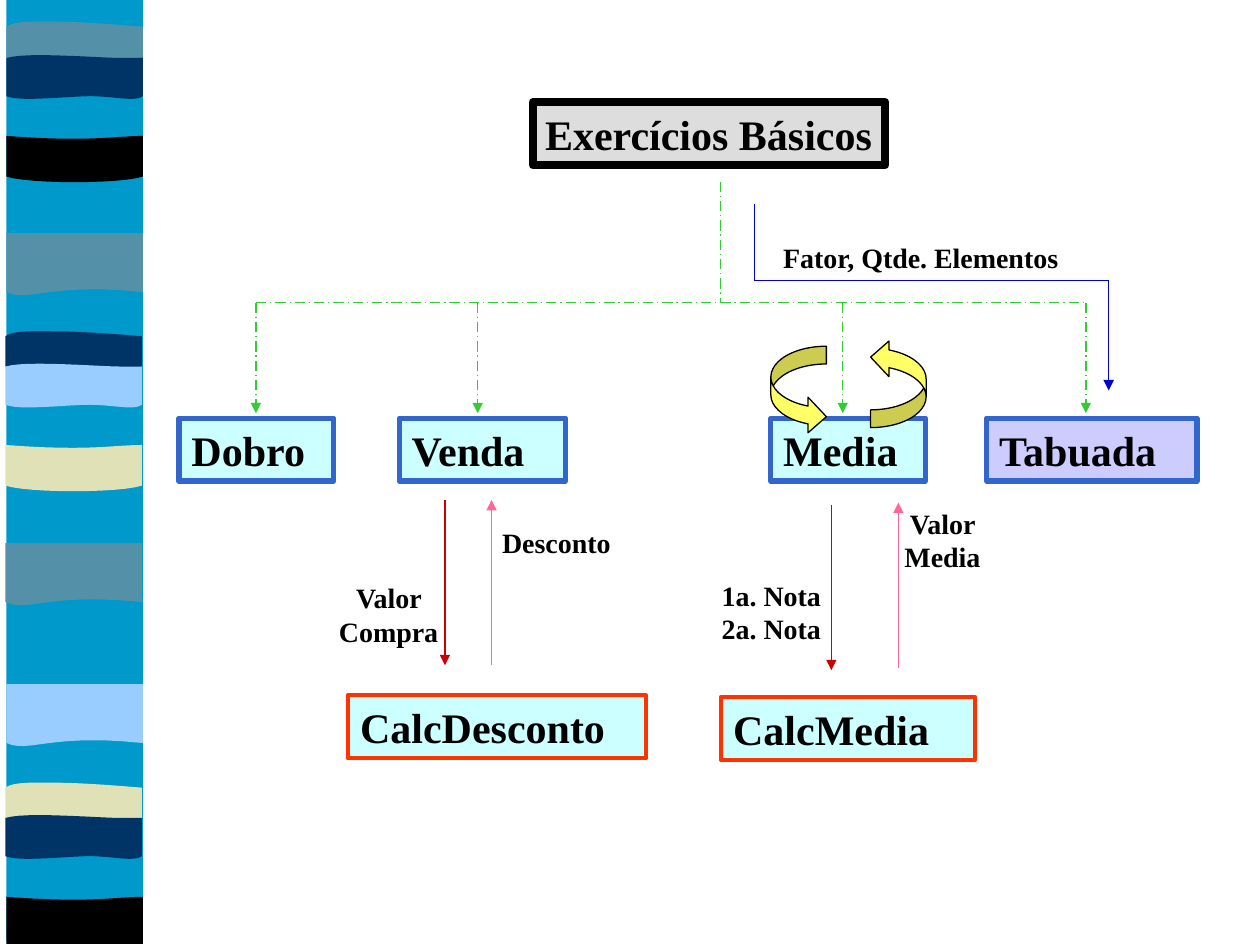
from pptx import Presentation
from pptx.dml.color import RGBColor
from pptx.enum.dml import MSO_LINE
from pptx.enum.shapes import MSO_CONNECTOR, MSO_SHAPE
from pptx.enum.text import MSO_ANCHOR, PP_ALIGN
from pptx.oxml.ns import qn
from pptx.util import Cm, Pt
from lxml import etree

RECT, CURVED_ARROW = MSO_SHAPE.RECTANGLE, MSO_SHAPE.CURVED_RIGHT_ARROW
STRAIGHT = MSO_CONNECTOR.STRAIGHT
LONG_DASH_DOT = MSO_LINE.LONG_DASH_DOT
LEFT, CENTER = PP_ALIGN.LEFT, PP_ALIGN.CENTER
TOP = MSO_ANCHOR.TOP

FONT = "Times New Roman"
BLACK = RGBColor(0x00, 0x00, 0x00)
WHITE = RGBColor(0xFF, 0xFF, 0xFF)
GREY = RGBColor(0xDD, 0xDD, 0xDD)
AQUA = RGBColor(0xCC, 0xFF, 0xFF)
LILAC = RGBColor(0xCC, 0xCC, 0xFF)
YELLOW = RGBColor(0xFF, 0xFF, 0x66)
BLUE = RGBColor(0x33, 0x66, 0xCC)
DEEP_BLUE = RGBColor(0x00, 0x00, 0xCC)
ORANGE = RGBColor(0xFF, 0x33, 0x00)
GREEN = RGBColor(0x33, 0xCC, 0x33)
PINK = RGBColor(0xFF, 0x66, 0x99)
RED = RGBColor(0xCC, 0x00, 0x00)
OCEAN = RGBColor(0x00, 0x99, 0xCC)
STEEL = RGBColor(0x54, 0x90, 0xA8)
NAVY = RGBColor(0x00, 0x33, 0x66)
SKY = RGBColor(0x99, 0xCC, 0xFF)
SAND = RGBColor(0xE1, 0xE1, 0xB7)

# Band outlines in cm: a 2-tuple is a corner, a 6-tuple is a cubic curve
BAND_W = 2.75
BOWL_TOP = [(0, 0), (1.7, 0.13, 2.18, 0, BAND_W, 0)]
BANDS = {
    "block": [(BAND_W, 0), (BAND_W, 1.19), (0.86, 0.99, 0.46, 1.4, 0, 1.19), (0, 0)],
    "crest": [(BAND_W, 0.13), (BAND_W, 0.74), (2.29, 0.84, 0.46, 0.84, 0, 0.74),
              (0, 0.13), (0.18, 0, 0.61, 0.03, 1.07, 0.03),
              (1.52, 0.03, 2.41, 0.1, BAND_W, 0.13)],
    "bowl": [(BAND_W, 0), (BAND_W, 0.82), (2.29, 0.97, 0.46, 0.97, 0, 0.82)] + BOWL_TOP,
    "ripple": [(BAND_W, 0.13), (BAND_W, 0.9), (2.59, 1.02, 2.16, 0.9, 1.7, 0.9),
               (1.24, 0.9, 0.28, 1.02, 0, 0.9), (0, 0.13),
               (0.41, 0, 1.88, 0.13, 2.34, 0.13)],
    "base": [(BAND_W, 0), (BAND_W, 0.95), (0, 0.95)] + BOWL_TOP,
}


def curve_points(start, curve, steps=12):
    """Points along a cubic curve, without its start."""
    x1, y1, x2, y2, x3, y3 = curve
    for i in range(1, steps + 1):
        t = i / steps
        u = 1 - t
        weights = (u ** 3, 3 * u * u * t, 3 * u * t * t, t ** 3)
        yield tuple(sum(w * v for w, v in zip(weights, values))
                    for values in ((start[0], x1, x2, x3), (start[1], y1, y2, y3)))


def style(sp, fill, line=None, width=0.75):
    sp.shadow.inherit = False
    sp.fill.solid()
    sp.fill.fore_color.rgb = fill
    if line is None:
        sp.line.fill.background()
    else:
        sp.line.color.rgb = line
        sp.line.width = Pt(width)


def set_text(sp, text, size, align=LEFT, wrap=True):
    tf = sp.text_frame
    tf.word_wrap = wrap
    tf.vertical_anchor = TOP
    p = tf.paragraphs[0]
    p.text = text
    p.alignment = align
    p.font.name = FONT
    p.font.size = Pt(size)
    p.font.bold = True
    p.font.color.rgb = BLACK


def add_band(s, kind, left, top, color):
    points = []
    for step in BANDS[kind]:
        points.extend([step] if len(step) == 2 else curve_points(points[-1], step))
    points = [(Cm(left + x), Cm(top + y)) for x, y in points]
    builder = s.shapes.build_freeform(*points[0])
    builder.add_line_segments(points[1:], close=True)
    style(builder.convert_to_shape(), color)


def add_box(s, text, left, top, width, fill, line=None, line_width=3,
            height=1.27, size=24, wrap=True):
    sp = s.shapes.add_shape(RECT, Cm(left), Cm(top), Cm(width), Cm(height))
    style(sp, fill, line, line_width)
    set_text(sp, text, size, wrap=wrap)


def add_label(s, text, left, top, width, height=1.63, align=CENTER):
    sp = s.shapes.add_textbox(Cm(left), Cm(top), Cm(width), Cm(height))
    set_text(sp, text, 16, align)


def add_line(s, x1, y1, x2, y2, color, arrow=False, dashed=False):
    line = s.shapes.add_connector(STRAIGHT, Cm(x1), Cm(y1), Cm(x2), Cm(y2))
    line.line.color.rgb = color
    line.line.width = Pt(0.75)
    if dashed:
        line.line.dash_style = LONG_DASH_DOT
    sp_pr = line._element.spPr
    if arrow:
        etree.SubElement(sp_pr.find(qn("a:ln")), qn("a:tailEnd"), type="triangle")
    etree.SubElement(sp_pr, qn("a:effectLst"))


def add_loop_arrow(s, left, top, rotation=0):
    sp = s.shapes.add_shape(CURVED_ARROW, Cm(left), Cm(top), Cm(1.12), Cm(1.78))
    style(sp, YELLOW, BLACK)
    sp.rotation = rotation
    for i, value in enumerate((0.32, 0.64, 0.33)):
        sp.adjustments[i] = value


def main():
    prs = Presentation()
    prs.slide_width, prs.slide_height = Cm(25.4), Cm(19.05)
    s = prs.slides.add_slide(prs.slide_layouts[6])

    # Side strip with wavy bands
    strip = s.shapes.add_shape(RECT, Cm(0.13), Cm(0), Cm(BAND_W), Cm(18.97))
    style(strip, OCEAN)
    for kind, left, top, color in (
            ("block", 0.13, 4.7, STEEL), ("crest", 0.13, 0.41, STEEL),
            ("bowl", 0.13, 2.74, BLACK), ("ripple", 0.13, 1.04, NAVY),
            ("block", 0.11, 10.95, STEEL), ("crest", 0.11, 6.65, NAVY),
            ("bowl", 0.11, 8.97, SAND), ("ripple", 0.11, 7.26, SKY),
            ("block", 0.13, 13.79, SKY), ("crest", 0.11, 15.75, SAND),
            ("base", 0.13, 18.08, BLACK), ("ripple", 0.11, 16.36, NAVY)):
        add_band(s, kind, left, top, color)

    # Main program and its parameters
    add_box(s, "Fator, Qtde. Elementos", 15.54, 4.72, 6.58, WHITE, height=0.94, size=16)
    add_box(s, "Exercícios Básicos", 10.74, 2.06, 7.11, GREY, BLACK, 4.5, wrap=False)

    # Modules
    for text, left, width, fill in (
            ("Dobro", 3.61, 3.12, AQUA), ("Venda", 8.05, 3.35, AQUA),
            ("Media", 15.54, 3.12, AQUA), ("Tabuada", 19.89, 4.24, LILAC)):
        add_box(s, text, left, 8.43, width, fill, BLUE)

    # Functions
    add_box(s, "CalcDesconto", 7.01, 14.02, 6.02, AQUA, ORANGE, 2.25)
    add_box(s, "CalcMedia", 14.53, 14.05, 5.13, AQUA, ORANGE, 2.25)

    # Dashed tree from the program to the modules
    bus_y, drops = 6.1, (5.16, 9.63, 16.99, 21.89)
    add_line(s, 14.53, 3.66, 14.53, bus_y, GREEN, dashed=True)
    add_line(s, drops[0], bus_y, drops[-1], bus_y, GREEN, dashed=True)
    for x in drops:
        add_line(s, x, bus_y, x, 8.33, GREEN, arrow=True, dashed=True)

    # Parameter route to Tabuada
    add_line(s, 15.21, 4.11, 15.21, 5.66, DEEP_BLUE)
    add_line(s, 15.21, 5.66, 22.35, 5.66, DEEP_BLUE)
    add_line(s, 22.35, 5.66, 22.35, 7.87, DEEP_BLUE, arrow=True)

    # Calls (down) and returns (up)
    for x, start, end, color in ((8.97, 10.08, 13.41, RED), (9.91, 13.41, 10.08, PINK),
                                 (16.76, 10.19, 13.51, RED), (18.11, 13.46, 10.13, PINK)):
        add_line(s, x, start, x, end, color, arrow=True)

    # Loop around Media
    add_loop_arrow(s, 15.54, 6.98)
    add_loop_arrow(s, 17.55, 6.84, rotation=180)

    # Labels of the passed values
    add_label(s, "1a. Nota 2a. Nota", 14.3, 11.53, 2.9, align=LEFT)
    add_label(s, "Valor Media", 17.88, 10.08, 2.24)
    add_label(s, "Valor Compra", 6.5, 11.58, 2.67)
    add_label(s, "Desconto", 9.73, 10.46, 2.97, height=0.94)

    prs.save("out.pptx")


if __name__ == "__main__":
    main()
